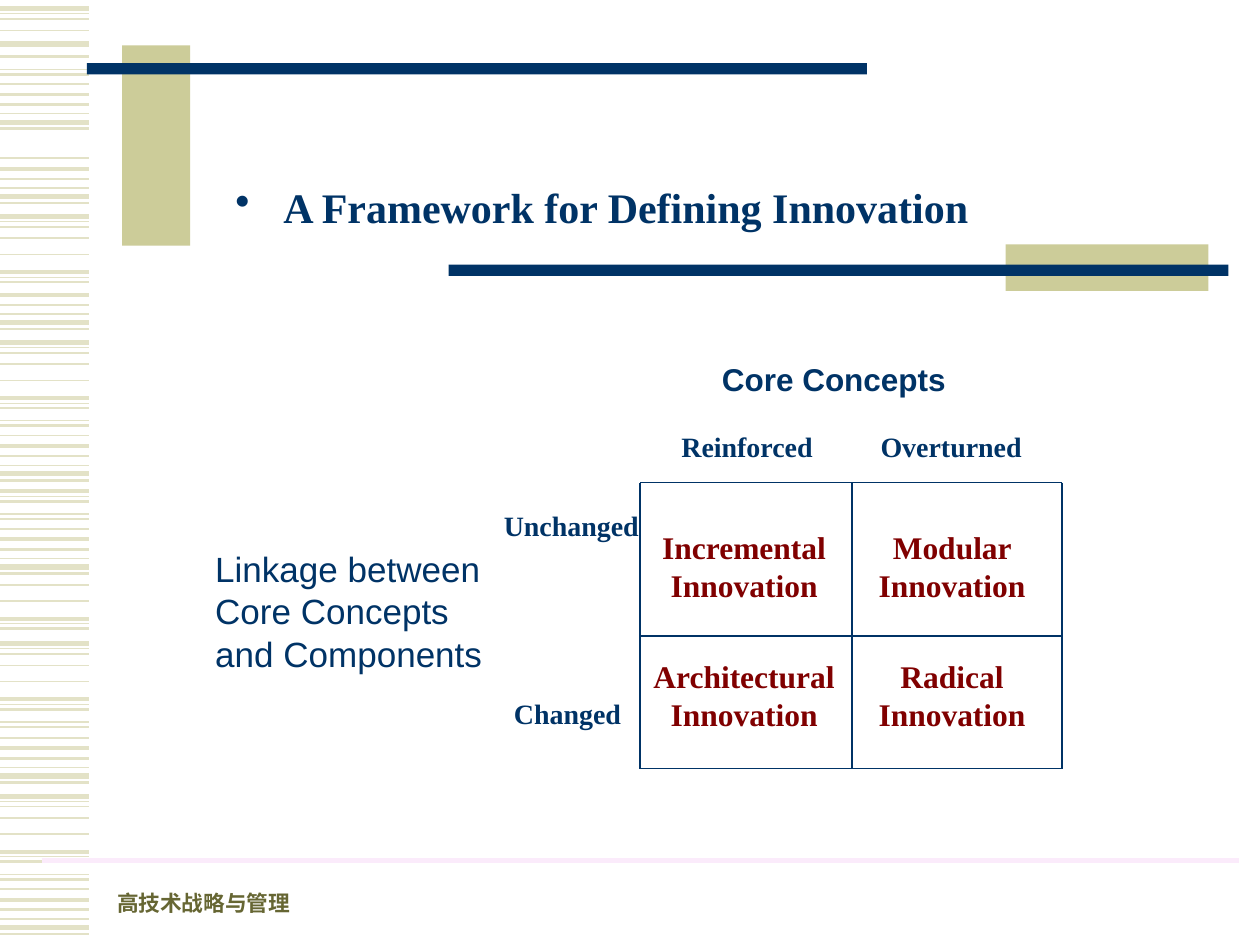
from lxml import etree
from pptx import Presentation
from pptx.dml.color import RGBColor
from pptx.enum.shapes import MSO_CONNECTOR, MSO_SHAPE
from pptx.enum.text import MSO_ANCHOR, PP_ALIGN
from pptx.oxml.ns import qn
from pptx.util import Pt

LINE = MSO_CONNECTOR.STRAIGHT
RECT = MSO_SHAPE.RECTANGLE
LEFT, MID = PP_ALIGN.LEFT, PP_ALIGN.CENTER
TOP, BASE = MSO_ANCHOR.TOP, MSO_ANCHOR.BOTTOM

NAVY, SAND, PALE = "003366", "CCCC99", "E3E2C7"
OLIVE, RED, PINK = "666633", "800000", "FBEBFB"
SERIF, SANS = "Times New Roman", "Arial"

SHORT = [(-21.8, 1), (-15.8, 2.25), (-10.1, 1.5), (-4.8, 0.75), (0, 3), (3.8, 1.5)]
LONG = [(0, 3), (2.9, 0.75), (5.8, 1), (12.4, 1), (21.6, 1), (31.7, 2.25),
        (34.6, 0.75), (37.4, 1.5), (44.6, 0.75), (47.5, 1.5)]
BANDS = [
    (SHORT, 529.9, 0, 6), (LONG, 455, 0, 10),
    (SHORT, 443.5, 0, 6), (LONG, 367.9, 0, 10),
    (LONG, 321.8, 3, 8), (SHORT, 324, 0, 6),
    (LONG, 249.1, 5, 10), (SHORT, 270.7, 0, 6),
    (LONG, 195.8, 0, 10), (SHORT, 184.3, 1, 6),
    (LONG, 123.8, 0, 8), (SHORT, 112.3, 0, 6),
    (SHORT, 69.8, 0, 6), (SHORT, 25.2, 4, 5),
    (LONG, 5, 0, 4), (LONG, -5, 7, 10),
]
BARS = [
    (69.8, 25.9, 38.9, 114.5, SAND), (49.7, 36, 445.7, 6.5, NAVY),
    (574.6, 139.7, 115.9, 26.6, SAND), (256.3, 151.2, 445.7, 6.5, NAVY),
]
COLS, ROWS = [365.8, 486.7, 607], [275.8, 363.6, 439.2]
CELLS = [
    ["Incremental Innovation", "Modular Innovation"],
    ["Architectural Innovation", "Radical Innovation"],
]
CELL_X, CELL_Y = [365.8, 484.6], [298.1, 372.2]
HEADS = [
    ("Unchanged", 280.8, 287.3, 91.4, LEFT, False),
    ("Changed", 286.6, 394.6, 75.6, LEFT, False),
    ("Reinforced", 354.2, 241.9, 145.4, MID, True),
    ("Overturned", 496.1, 241.9, 115.9, LEFT, True),
]

deck = Presentation()
deck.slide_width, deck.slide_height = Pt(720), Pt(540)
slide = deck.slides.add_slide(deck.slide_layouts[6])
shapes = slide.shapes


def tint(code):
    return RGBColor.from_string(code)


def rule(x1, y1, x2, y2, color, width):
    line = shapes.add_connector(LINE, Pt(x1), Pt(y1), Pt(x2), Pt(y2))
    line.line.color.rgb = tint(color)
    line.line.width = Pt(width)
    etree.SubElement(line._element.spPr, qn("a:effectLst"))


def bar(x, y, w, h, color):
    box = shapes.add_shape(RECT, Pt(x), Pt(y), Pt(w), Pt(h))
    box.shadow.inherit = False
    box.fill.solid()
    box.fill.fore_color.rgb = tint(color)
    box.line.fill.background()


def write(text, x, y, w, h, size=16, font=SERIF, color=NAVY, bold=True,
          align=LEFT, anchor=TOP, wrap=True, bullet=None, indent=0):
    frame = shapes.add_textbox(Pt(x), Pt(y), Pt(w), Pt(h)).text_frame
    frame.word_wrap = wrap
    frame.vertical_anchor = anchor
    para = frame.paragraphs[0]
    para.alignment = align
    run = para.add_run()
    run.text = text
    run.font.size = Pt(size)
    run.font.name = font
    run.font.bold = bold
    run.font.color.rgb = tint(color)
    if bullet:
        props = para._p.get_or_add_pPr()
        props.set("marL", str(Pt(indent)))
        props.set("indent", str(-Pt(indent)))
        etree.SubElement(props, qn("a:buChar")).set("char", bullet)


for band, base, first, last in BANDS:
    for step, width in band[first:last]:
        rule(0, base + step, 51.1, base + step, PALE, width)
for item in BARS:
    bar(*item)
rule(23.8, 491.8, 707.8, 491.8, PINK, 3)

for x in COLS:
    rule(x, ROWS[0], x, ROWS[-1], NAVY, 1)
for y in ROWS:
    rule(COLS[0], y, COLS[-1], y, NAVY, 1)
for y, row in zip(CELL_Y, CELLS):
    for x, text in zip(CELL_X, row):
        write(text, x, y, 118.8, 50.4, size=18, color=RED, align=MID)
for text, x, y, w, align, wrap in HEADS:
    write(text, x, y, w, 26.6, align=align, wrap=wrap)

write("Core Concepts", 405.4, 202.3, 142.6, 28.8, size=18, font=SANS, wrap=False)
write("Linkage between Core Concepts and Components", 115.9, 309.6, 175.7, 79.2,
      size=20, font=SANS, bold=False)
write("A Framework for Defining Innovation", 127.4, 100.1, 475.9, 36,
      size=24, bullet="•", indent=27.4)
write("高技术战略与管理", 59.8, 502.6, 187.2, 24.5, size=12.4, color=OLIVE, anchor=BASE)

deck.save("out.pptx")
